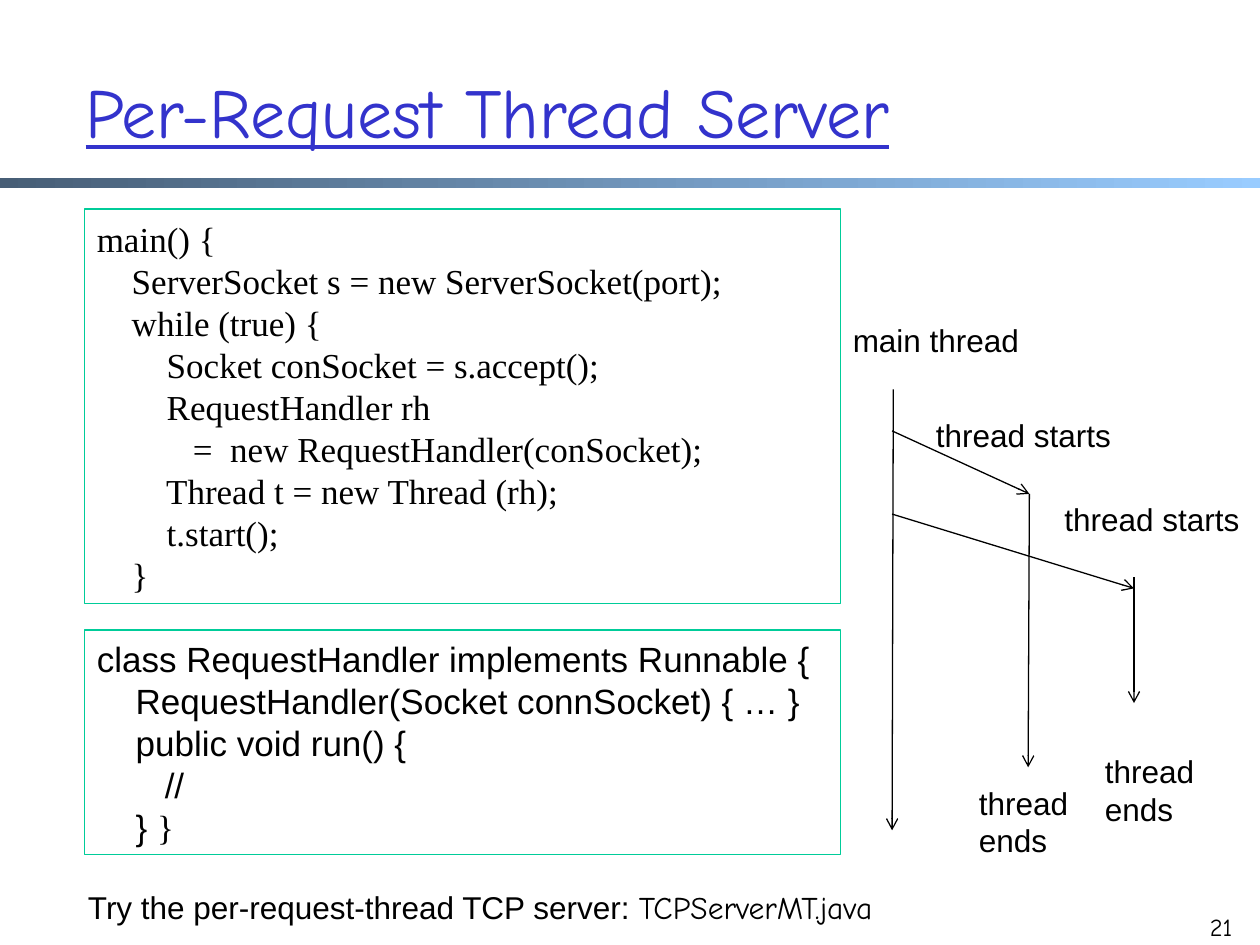
from typing import NamedTuple

from lxml.etree import SubElement
from pptx import Presentation
from pptx.dml.color import RGBColor
from pptx.enum.shapes import MSO_CONNECTOR, MSO_SHAPE
from pptx.enum.text import MSO_ANCHOR, MSO_AUTO_SIZE, PP_ALIGN
from pptx.oxml.ns import qn
from pptx.util import Inches, Pt

COLORS = {"title": "3333CC", "text": "000000", "frame": "00CC99",
          "bar_start": "475E76", "bar_end": "99CCFF"}
SANS, SERIF, COMIC = "Arial", "Times New Roman", "Comic Neue"


class Span(NamedTuple):
    text: str
    font: str


class Label(NamedTuple):
    lines: list
    left: float
    top: float
    width: float
    height: float
    wrap: bool = False


class CodeBox(NamedTuple):
    lines: list
    font: str
    top: float
    height: float


class Arrow(NamedTuple):
    start: tuple[float, float]
    end: tuple[float, float]


SERVER_LOOP = [
    "main() {",
    "    ServerSocket s = new ServerSocket(port);",
    "    while (true) {",
    "        Socket conSocket = s.accept();",
    "        RequestHandler rh",
    "           =  new RequestHandler(conSocket);",
    "        Thread t = new Thread (rh);",
    "        t.start();",
    "    }",
]
REQUEST_HANDLER = [
    "class RequestHandler implements Runnable {",
    "    RequestHandler(Socket connSocket) { … }",
    "    public void run() {",
    "       //",
    [Span("    } ", SANS), Span("}", SERIF)],
]
CODE_BOXES = [
    CodeBox(SERVER_LOOP, SERIF, 1.66, 3.13),
    CodeBox(REQUEST_HANDLER, SANS, 5, 1.78),
]
LABELS = [
    Label([[Span("Try the per-request-thread TCP server: ", SANS),
            Span("TCPServerMT.java", COMIC)]], 0.6, 7, 6.83, 0.4),
    Label(["main thread"], 6.67, 2.5, 1.53, 0.4),
    Label(["thread starts"], 7.33, 3.25, 1.6, 0.4),
    Label(["thread starts"], 8.35, 3.92, 1.6, 0.4),
    Label(["thread", "ends"], 8.67, 5.92, 0.99, 0.71),
    Label(["thread", "ends"], 7.67, 6.17, 1.08, 0.71, wrap=True),
]
ARROWS = [
    Arrow((7.09, 3.09), (7.08, 6.59)),  # main thread
    Arrow((7.08, 3.42), (8.17, 3.92)),  # first request
    Arrow((8.17, 3.92), (8.16, 6.09)),
    Arrow((7.08, 4.08), (9, 4.67)),     # second request
    Arrow((9, 4.58), (9, 5.58)),
]


def color(name: str) -> RGBColor:
    return RGBColor.from_string(COLORS[name])


def write(frame, lines: list, *, font: str = SANS, size: float = 18,
          ink: str = "text", align=PP_ALIGN.LEFT, anchor=MSO_ANCHOR.TOP,
          underline: bool = False, wrap: bool = True, grow: bool = False) -> None:
    """Fill a text frame, one paragraph per line; a line is text or spans."""
    frame.word_wrap = wrap
    frame.vertical_anchor = anchor
    frame.auto_size = MSO_AUTO_SIZE.SHAPE_TO_FIT_TEXT if grow else MSO_AUTO_SIZE.NONE
    for index, line in enumerate(lines):
        paragraph = frame.add_paragraph() if index else frame.paragraphs[0]
        paragraph.alignment = align
        for span in [Span(line, font)] if isinstance(line, str) else line:
            run = paragraph.add_run()
            run.text = span.text
            run.font.name = span.font
            run.font.size = Pt(size)
            run.font.underline = underline
            run.font.color.rgb = color(ink)


def draw_bar(slide) -> None:
    bar = slide.shapes.add_shape(MSO_SHAPE.RECTANGLE, 0, Inches(1.41),
                                 Inches(10), Inches(0.08))
    bar.shadow.inherit = False
    bar.line.fill.background()
    bar.fill.gradient()
    bar.fill.gradient_angle = 0
    for stop, position, name in zip(bar.fill.gradient_stops, (0, 1),
                                    ("bar_start", "bar_end")):
        stop.position = position
        stop.color.rgb = color(name)


def draw_code_box(slide, code: CodeBox) -> None:
    box = slide.shapes.add_shape(MSO_SHAPE.RECTANGLE, Inches(0.67), Inches(code.top),
                                 Inches(6), Inches(code.height))
    box.shadow.inherit = False
    box.fill.background()
    box.line.color.rgb = color("frame")
    box.line.width = Pt(0.75)
    write(box.text_frame, code.lines, font=code.font, size=20,
          anchor=MSO_ANCHOR.MIDDLE, grow=True)


def draw_label(slide, label: Label) -> None:
    box = slide.shapes.add_textbox(Inches(label.left), Inches(label.top),
                                   Inches(label.width), Inches(label.height))
    write(box.text_frame, label.lines, wrap=label.wrap, grow=True)


def draw_arrow(slide, arrow: Arrow) -> None:
    ends = [Inches(value) for value in (*arrow.start, *arrow.end)]
    connector = slide.shapes.add_connector(MSO_CONNECTOR.STRAIGHT, *ends)
    connector.line.color.rgb = color("text")
    connector.line.width = Pt(0.75)
    SubElement(connector.line._get_or_add_ln(), qn("a:tailEnd"), type="arrow")
    SubElement(connector._element.spPr, qn("a:effectLst"))


def main() -> None:
    deck = Presentation()
    deck.slide_width, deck.slide_height = Inches(10), Inches(7.5)
    slide = deck.slides.add_slide(deck.slide_layouts[5])

    # Title and the bar below it
    draw_bar(slide)
    title = slide.shapes.title
    title.left, title.top = Inches(0.58), Inches(0.25)
    title.width, title.height = Inches(8.5), Inches(1.25)
    write(title.text_frame, ["Per-Request Thread Server"], font=COMIC, size=40,
          ink="title", anchor=MSO_ANCHOR.MIDDLE, underline=True)

    # Code, then the thread timeline
    for code in CODE_BOXES:
        draw_code_box(slide, code)
    for label in LABELS:
        draw_label(slide, label)
    for arrow in ARROWS:
        draw_arrow(slide, arrow)

    # Page number
    page = slide.shapes.add_textbox(Inches(9.38), Inches(7.19), Inches(0.5), Inches(0.5))
    write(page.text_frame, ["21"], font=COMIC, size=14, align=PP_ALIGN.RIGHT)

    deck.save("out.pptx")


if __name__ == "__main__":
    main()
